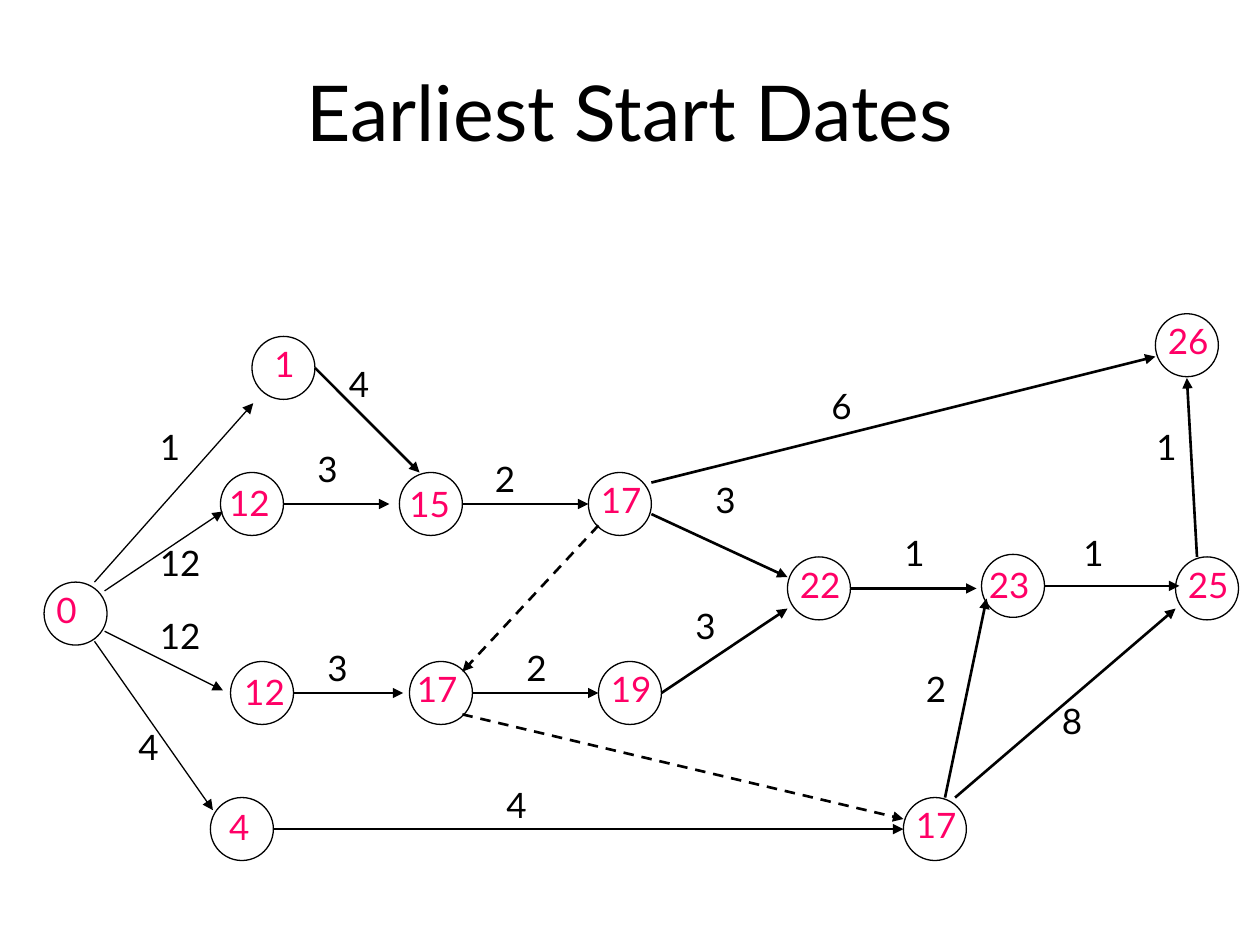
from pptx import Presentation
from pptx.dml.color import RGBColor as Rgb
from pptx.enum.dml import MSO_LINE_DASH_STYLE as Dash
from pptx.enum.shapes import MSO_CONNECTOR as Link, MSO_SHAPE as Shape
from pptx.enum.text import MSO_ANCHOR as Anchor, MSO_AUTO_SIZE as Fit, PP_ALIGN as Align
from pptx.oxml.ns import qn
from pptx.util import Cm, Pt
from lxml.etree import SubElement as Sub

STEP = 2.54
SIZE = 0.5
HIGH = 0.44
INK = "000000"
PINK = "FF0066"

# text, circle left and top, label shift right and down, label width
NODES = [
    ("0", 0.35, 4.62, 0, 0, 0.5),
    ("1", 2, 2.67, 0.08, 0, 0.5),
    ("12", 1.75, 3.75, -0.03, 0.02, 0.67),
    ("12", 1.83, 5.25, 0.01, 0.02, 0.67),
    ("4", 1.67, 6.33, 0.05, 0.01, 0.92),
    ("15", 3.17, 3.75, -0.02, 0.03, 0.75),
    ("17", 4.67, 3.75, 0, 0, 0.92),
    ("17", 3.25, 5.25, -0.04, 0, 0.92),
    ("17", 7.17, 6.33, 0, 0, 0.92),
    ("19", 4.75, 5.25, 0, 0, 0.92),
    ("22", 6.25, 4.42, 0, 0, 0.92),
    ("26", 9.17, 2.49, 0, 0, 0.67),
    ("23", 7.79, 4.4, -0.04, 0.02, 0.67),
    ("25", 9.33, 4.42, 0, 0, 0.67),
]

BOLD = [
    (3.67, 4, 4.67, 4), (5.25, 5.5, 6.25, 4.83), (2.25, 4, 3.09, 4),
    (8.29, 4.65, 9.36, 4.65), (3.75, 5.5, 4.75, 5.5),
    (6.75, 4.67, 7.75, 4.67), (2.33, 5.5, 3.2, 5.5),
    (5.17, 4.08, 6.25, 4.58), (5.17, 3.83, 9.17, 2.83),
    (2.5, 2.92, 3.33, 3.75), (7.58, 6.33, 9.33, 4.83),
    (2.17, 6.58, 7.17, 6.58), (7.5, 6.33, 7.83, 4.75),
    (9.5, 4.42, 9.42, 3),
]
DASHED = [(4.75, 4.17, 3.67, 5.33), (3.67, 5.67, 7.17, 6.5)]
THIN = [
    (0.75, 4.62, 2.01, 3.2), (0.83, 4.69, 1.77, 4.06),
    (0.83, 5.01, 1.77, 5.48), (0.75, 5.09, 1.69, 6.43),
]

TIMES = [
    ("6", 6.5, 3, 0.5), ("4", 2.67, 2.83, 0.58), ("2", 3.83, 3.58, 0.5),
    ("2", 4.08, 5.08, 0.5), ("3", 2.42, 3.5, 0.5), ("3", 2.5, 5.08, 0.5),
    ("1", 9.08, 3.33, 0.67), ("3", 5.58, 3.75, 0.5), ("3", 5.42, 4.75, 0.5),
    ("8", 8.33, 5.5, 0.5), ("2", 7.25, 5.25, 0.67), ("1", 7.08, 4.17, 0.67),
    ("1", 8.5, 4.17, 0.67), ("4", 3.92, 6.17, 0.5), ("12", 1.17, 4.25, 0.92),
    ("12", 1.17, 4.83, 0.92), ("1", 1.17, 3.33, 0.42), ("4", 1, 5.71, 0.36),
]


def put(item, values):
    for name, value in values.items():
        setattr(item, name, value)


def tone(code):
    return Rgb.from_string(code)


def grid(*spots):
    return [Cm(STEP * spot) for spot in spots]


def stroke(line, width):
    line.color.rgb = tone(INK)
    line.width = Pt(width)


def write(slide, text, box, size=20, color=INK, align=Align.LEFT, frame=None):
    area = slide.shapes.add_textbox(*grid(*box)).text_frame
    put(area, {"word_wrap": True, "auto_size": Fit.NONE, **(frame or {})})
    para = area.paragraphs[0]
    put(para, {"text": text, "alignment": align})
    font = para.runs[0].font
    put(font, {"name": "Lato", "size": Pt(size)})
    font.color.rgb = tone(color)


def ring(slide, left, top):
    disc = slide.shapes.add_shape(Shape.OVAL, *grid(left, top, SIZE, SIZE))
    disc.shadow.inherit = False
    disc.fill.background()
    stroke(disc.line, 0.75)


def arrow(slide, ends, width, dash=None):
    link = slide.shapes.add_connector(Link.STRAIGHT, *grid(*ends))
    stroke(link.line, width)
    if dash:
        link.line.dash_style = dash
    Sub(link.line._get_or_add_ln(), qn("a:tailEnd"), type="triangle")
    Sub(link._element.spPr, qn("a:effectLst"))


def main():
    deck = Presentation()
    put(deck, {"slide_width": Cm(25.4), "slide_height": Cm(19.05)})
    slide = deck.slides.add_slide(deck.slide_layouts[6])
    write(slide, "Earliest Start Dates", (0.75, 0.25, 8.5, 1.25), 44,
          align=Align.CENTER, frame={"vertical_anchor": Anchor.MIDDLE})
    for group, width, dash in ((BOLD, 1.5, None), (DASHED, 1.5, Dash.DASH),
                               (THIN, 0.75, None)):
        for ends in group:
            arrow(slide, ends, width, dash)
    for text, left, top, wide in TIMES:
        write(slide, text, (left, top, wide, HIGH), frame={"auto_size": Fit.SHAPE_TO_FIT_TEXT})
    for text, left, top, right, down, wide in NODES:
        ring(slide, left, top)
        write(slide, text, (left + right, top + down, wide, HIGH), color=PINK,
              frame={"auto_size": Fit.SHAPE_TO_FIT_TEXT})
    deck.save("out.pptx")


if __name__ == "__main__":
    main()
